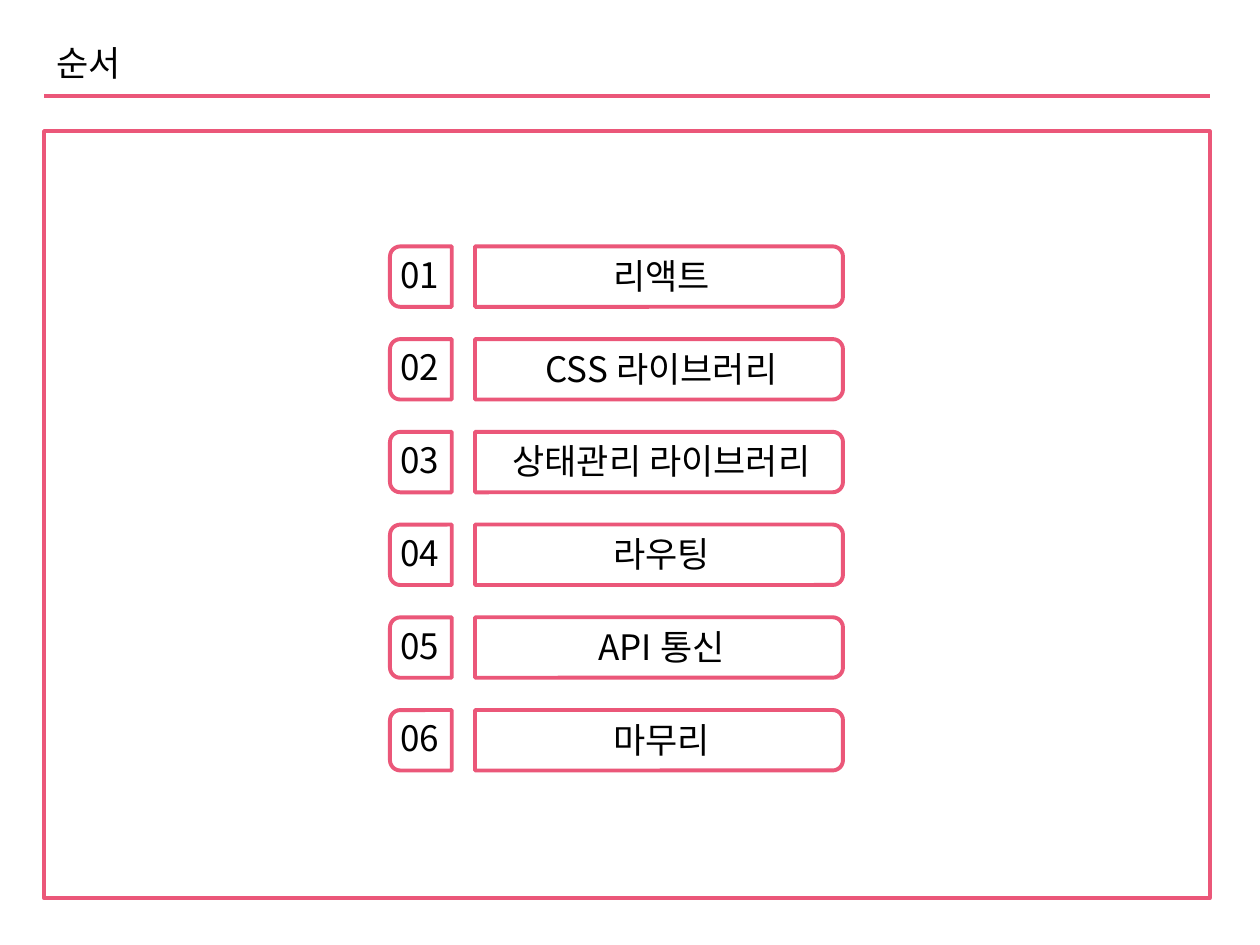
import dataclasses

import lxml.etree
import pptx
import pptx.dml.color
import pptx.enum.shapes
import pptx.enum.text
import pptx.oxml.ns
import pptx.shapes.autoshape
import pptx.util

PINK = pptx.dml.color.RGBColor(0xEB, 0x57, 0x79)
WHITE = pptx.dml.color.RGBColor(0xFF, 0xFF, 0xFF)
BLACK = pptx.dml.color.RGBColor(0x00, 0x00, 0x00)
FONT = "Noto Sans CJK KR"
SLIDE_WIDTH = pptx.util.Inches(10)
SLIDE_HEIGHT = pptx.util.Inches(7.5)
COLUMNS, ROWS = 100, 75
FIRST_ROW, ROW_PITCH = 19.55, 7.36
TOPICS = ["리액트", "CSS 라이브러리", "상태관리 라이브러리", "라우팅", "API 통신", "마무리"]


@dataclasses.dataclass(frozen=True)
class Box:
    """A visible area in columns and rows of the slide grid."""

    left: float
    top: float
    width: float
    height: float

    def down(self, rows: float) -> "Box":
        """Return this area moved down by some rows."""
        return dataclasses.replace(self, top=self.top + rows)

    def turned(self) -> "Box":
        """Return the area before a quarter turn about its centre."""
        shift = (self.width - self.height) / 2
        return Box(self.left + shift, self.top - shift, self.height, self.width)

    def lengths(self) -> tuple[int, int, int, int]:
        """Return left, top, width and height as slide lengths."""
        return (column(self.left), row(self.top), column(self.width), row(self.height))


FRAME = Box(3.5, 10.4, 92.5, 60.9)
TITLE = Box(3.5, 2.8, 12.7, 4.4)
RULE_ROW = 7.6
NUMBER_TAB = Box(30.95, 0, 4.9, 4.8)
TOPIC_TAB = Box(37.7, 0, 29.2, 4.8)
NUMBER_TEXT = Box(30.8, 0.05, 5.5, 4.4)
TOPIC_TEXT = Box(38.1, 0.15, 28.8, 4.4)


def column(count: float) -> int:
    """Convert grid columns to a slide length."""
    return round(SLIDE_WIDTH * count / COLUMNS)


def row(count: float) -> int:
    """Convert grid rows to a slide length."""
    return round(SLIDE_HEIGHT * count / ROWS)


def add_text(shapes, box: Box, text: str, *, size: float = 20, align=None) -> None:
    """Add a text box whose Latin and Korean letters share one font."""
    frame = shapes.add_textbox(*box.lengths()).text_frame
    frame.word_wrap = True
    frame.auto_size = pptx.enum.text.MSO_AUTO_SIZE.SHAPE_TO_FIT_TEXT
    paragraph = frame.paragraphs[0]
    paragraph.alignment = align
    run = paragraph.add_run()
    run.text = text
    run.font.size = pptx.util.Pt(size)
    run.font.name = FONT
    run.font.color.rgb = BLACK
    lxml.etree.SubElement(
        run.font._element, pptx.oxml.ns.qn("a:ea"), typeface=FONT
    )


def outline(shape: pptx.shapes.autoshape.Shape) -> None:
    """Give a shape the pink outline without a shadow."""
    shape.shadow.inherit = False
    shape.line.color.rgb = PINK
    shape.line.width = pptx.util.Pt(2.25)


def add_tab(shapes, box: Box, rotation: float) -> None:
    """Add an unfilled tab whose two rounded corners face sideways."""
    tab = shapes.add_shape(
        pptx.enum.shapes.MSO_SHAPE.ROUND_2_SAME_RECTANGLE, *box.turned().lengths()
    )
    tab.rotation = rotation
    tab.adjustments[0] = 0.17
    tab.fill.background()
    outline(tab)


def add_entry(slide, index: int, topic: str) -> None:
    """Add one numbered line of the agenda as a group."""
    shapes = slide.shapes.add_group_shape().shapes
    offset = FIRST_ROW + index * ROW_PITCH
    center = pptx.enum.text.PP_ALIGN.CENTER
    add_text(shapes, TOPIC_TEXT.down(offset), topic, align=center)
    add_text(shapes, NUMBER_TEXT.down(offset), f"{index + 1:02}")
    add_tab(shapes, NUMBER_TAB.down(offset), 270)
    add_tab(shapes, TOPIC_TAB.down(offset), 90)


def add_rule(slide) -> None:
    """Add the line below the title."""
    rule = slide.shapes.add_connector(
        pptx.enum.shapes.MSO_CONNECTOR.STRAIGHT,
        column(FRAME.left),
        row(RULE_ROW),
        column(FRAME.left + FRAME.width),
        row(RULE_ROW),
    )
    rule.line.color.rgb = PINK
    rule.line.width = pptx.util.Pt(2.25)
    lxml.etree.SubElement(rule._element.spPr, pptx.oxml.ns.qn("a:effectLst"))


def main() -> None:
    """Build the agenda slide."""
    presentation = pptx.Presentation()
    presentation.slide_width = SLIDE_WIDTH
    presentation.slide_height = SLIDE_HEIGHT
    slide = presentation.slides.add_slide(presentation.slide_layouts[6])
    frame = slide.shapes.add_shape(
        pptx.enum.shapes.MSO_SHAPE.RECTANGLE, *FRAME.lengths()
    )
    frame.fill.solid()
    frame.fill.fore_color.rgb = WHITE
    outline(frame)
    add_rule(slide)
    add_text(slide.shapes, TITLE, "순서")
    for index, topic in enumerate(TOPICS):
        add_entry(slide, index, topic)
    presentation.save("out.pptx")


if __name__ == "__main__":
    main()
